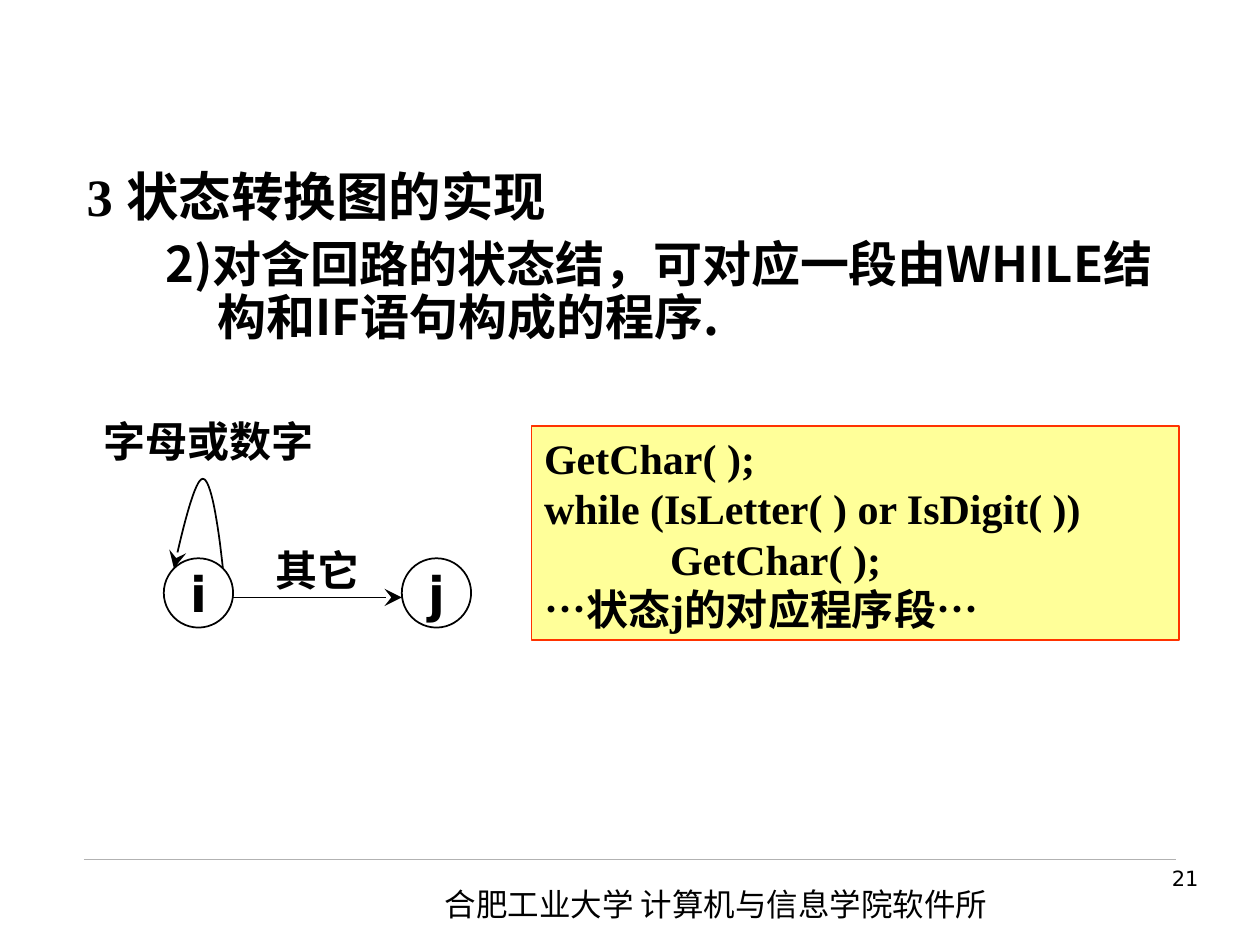
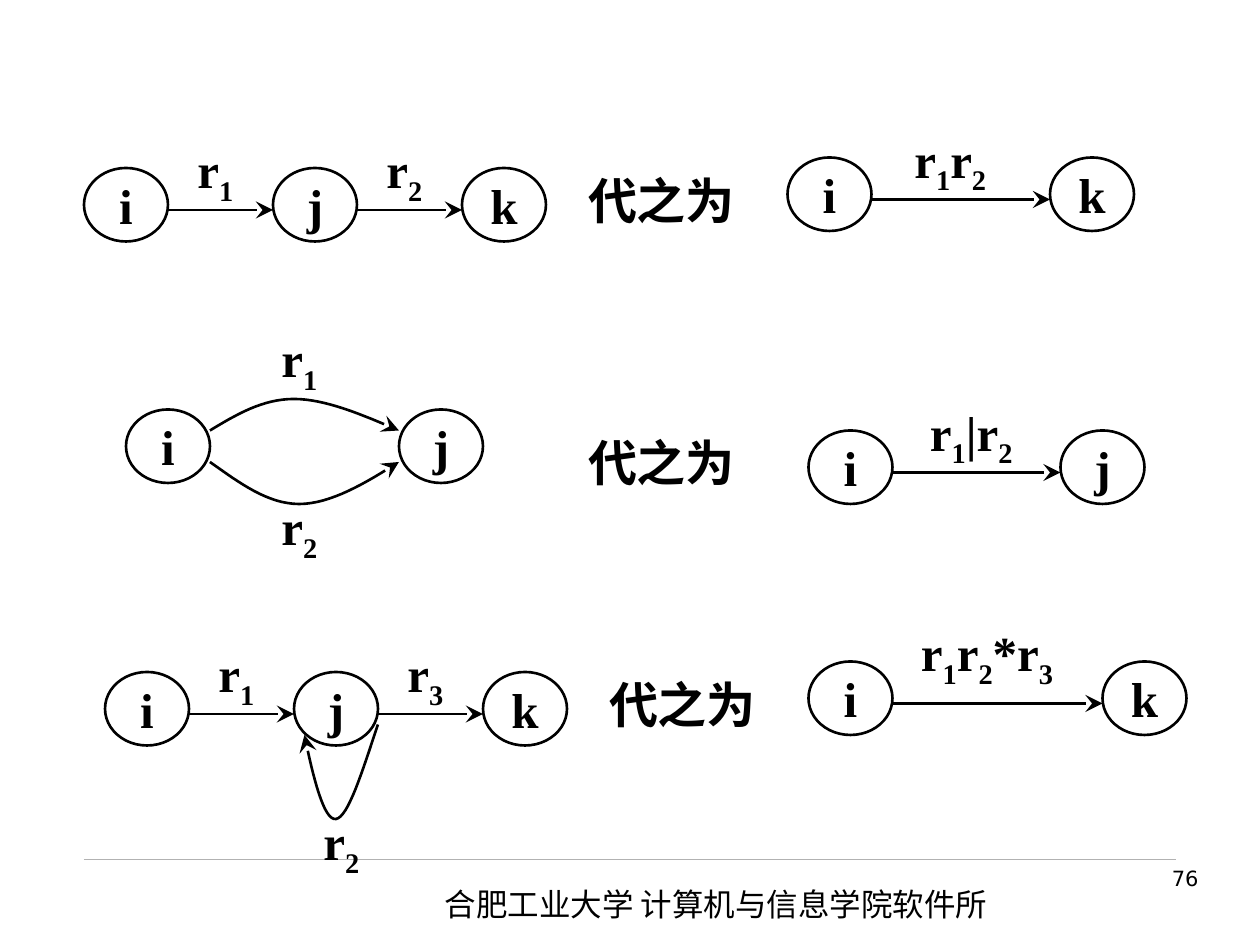
from itertools import groupby

from pptx import Presentation
from pptx import util as u
from pptx.dml.color import RGBColor
from pptx.enum import shapes, text
from pptx.oxml.ns import qn
from lxml import etree

COLORS = {"ink": "000000", "rule": "B2B2B2", "code": "FFFF99", "code_edge": "FF3300"}
SERIF, SANS, ARIAL, CJK = "Times New Roman", "DejaVu Sans", "Arial", "Noto Sans CJK SC"
FOOTER = "合肥工业大学 计算机与信息学院软件所"
LEFT, CENTER, RIGHT = text.PP_ALIGN.LEFT, text.PP_ALIGN.CENTER, text.PP_ALIGN.RIGHT
TOP, MIDDLE = text.MSO_ANCHOR.TOP, text.MSO_ANCHOR.MIDDLE
NODE_SIZE = (48, 42)
LABEL_SIZE = (84, 42)
ARROW_DROP = 24


def rgb(name):
    return RGBColor.from_string(COLORS[name])


def points(values):
    return [u.Pt(value) for value in values]


def format_span(span, size, font, bold):
    span.font.size, span.font.name, span.font.bold = u.Pt(size), font, bold
    span.font.color.rgb = rgb("ink")
    etree.SubElement(span.font._element, qn("a:ea"), typeface=CJK)


def write(shape, lines, size, font, bold=True, align=CENTER, anchor=TOP, wrap=True):
    """Fill a shape with text; unwrapped text gets the full width of its box."""
    frame = shape.text_frame
    frame.text = lines
    frame.word_wrap, frame.vertical_anchor = wrap, anchor
    if not wrap:
        frame.margin_left = frame.margin_right = 0
    for para in frame.paragraphs:
        para.alignment = align
        for span in para.runs:
            format_span(span, size, font, bold)
    return frame


def add_text(page, box, lines, size, font, **style):
    return write(page.shapes.add_textbox(*points(box)), lines, size, font, **style)


def add_label(page, left, top, expression):
    """Write a regular expression with its digits as subscripts."""
    frame = add_text(page, (left, top) + LABEL_SIZE, "", 28, SERIF,
                     anchor=MIDDLE, wrap=False)
    for is_index, letters in groupby(expression, str.isdigit):
        span = frame.paragraphs[0].add_run()
        span.text = "".join(letters)
        format_span(span, 28, SERIF, True)
        if is_index:
            span.font._element.set("baseline", "-25000")


def set_line(shape, color, width, arrow=False):
    shape.line.color.rgb, shape.line.width = rgb(color), u.Pt(width)
    if arrow:
        outline = shape._element.spPr.find(qn("a:ln"))
        etree.SubElement(outline, qn("a:tailEnd"), type="stealth", w="lg", len="lg")


def add_line(page, start, end, color="ink", width=1.5, arrow=True):
    line = page.shapes.add_connector(
        shapes.MSO_CONNECTOR.STRAIGHT, *points(start + end))
    set_line(line, color, width, arrow)
    etree.SubElement(line._element.spPr, qn("a:effectLst"))


def bezier(controls, steps=16):
    """Sample joined cubic curves, each starting where the last one ended."""
    for first in range(0, len(controls) - 1, 3):
        curve = controls[first:first + 4]
        for step in range(1, steps + 1):
            t = step / steps
            weights = ((1 - t) ** 3, 3 * t * (1 - t) ** 2, 3 * t * t * (1 - t), t ** 3)
            yield tuple(sum(w * point[axis] for w, point in zip(weights, curve))
                        for axis in (0, 1))


def add_curve(page, left, top, controls, width=1.5):
    controls = [(left + x, top + y) for x, y in controls]
    builder = page.shapes.build_freeform(*points(controls[0]))
    builder.add_line_segments([points(spot) for spot in bezier(controls)], close=False)
    curve = builder.convert_to_shape()
    curve.shadow.inherit = False
    curve.fill.background()
    set_line(curve, "ink", width, arrow=True)


def add_node(page, left, top, name, size=NODE_SIZE, font=SERIF, width=1.5):
    node = page.shapes.add_shape(
        shapes.MSO_SHAPE.OVAL, *points((left, top) + size))
    node.shadow.inherit = False
    node.fill.background()
    set_line(node, "ink", width)
    write(node, name, 28, font, anchor=MIDDLE, wrap=False)


def add_chain(page, left, top, names, labels, pitch, label_at=(33, -18)):
    """Draw evenly spaced states joined by labelled arrows."""
    for index, name in enumerate(names):
        add_node(page, left + index * pitch, top, name)
    for index, label in enumerate(labels):
        x, y = left + index * pitch, top + ARROW_DROP
        add_line(page, (x + NODE_SIZE[0], y), (x + pitch, y))
        add_label(page, x + label_at[0], top + label_at[1], label)


def add_page(deck, number):
    page = deck.slides.add_slide(deck.slide_layouts[6])
    add_line(page, (48, 491), (672, 491), "rule", 0.25, arrow=False)
    add_text(page, (247, 502, 340, 29), FOOTER, 18, CJK, bold=False, align=LEFT)
    add_text(page, (536, 491, 156, 37), str(number), 12, SANS, bold=False, align=RIGHT)
    return page


def add_heading(page, box):
    frame = add_text(
        page, box, "3 \n2)对含回路的状态结，可对应一段由WHILE结构和IF语句构成的程序.",
        28, CJK, align=LEFT)
    heading, detail = frame.paragraphs
    for para, margin, indent in ((heading, 37, -37), (detail, 75, -30)):
        para.line_spacing = 0.9
        para._p.get_or_add_pPr().set("marL", str(u.Pt(margin)))
        para._p.get_or_add_pPr().set("indent", str(u.Pt(indent)))
    detail.space_before = u.Pt(7)
    detail.level = 1
    number = heading.runs[0]
    number.font.size, number.font.name = u.Pt(30), SERIF
    title = heading.add_run()
    title.text = "状态转换图的实现"
    format_span(title, 30, CJK, True)


def add_loop_diagram(page, left, top):
    size, pitch = 39.6, 136
    for index, name in enumerate("ij"):
        add_node(page, left + index * pitch, top, name, (size, size), SANS, 1)
    add_curve(page, left, top, [
        (33.8, 5.7), (31, -20), (27, -45.4), (22.3, -45.4),
        (18, -45.4), (11.5, -20), (5.8, 5.7)], width=1)
    add_line(page, (left + size, top + 22.4), (left + pitch, top + 22.4), width=1)
    add_text(page, (left - 45.5, top - 85, 142, 36), "字母或数字", 24, ARIAL)
    add_text(page, (left + 57, top - 11.6, 62, 36), "其它", 24, ARIAL, wrap=False)


def add_code(page, box):
    panel = page.shapes.add_shape(shapes.MSO_SHAPE.RECTANGLE, *points(box))
    panel.shadow.inherit = False
    panel.fill.solid()
    panel.fill.fore_color.rgb = rgb("code")
    set_line(panel, "code_edge", 1)
    frame = write(panel, "GetChar( );\nwhile (IsLetter( ) or IsDigit( ))\n"
                  "GetChar( );\n…状态j的对应程序段…", 24, SERIF, align=LEFT, anchor=MIDDLE)
    frame.paragraphs[2]._p.get_or_add_pPr().set("marL", str(u.Pt(72)))


def add_parallel(page, left, top):
    """Draw two states joined by an upper and a lower curve."""
    for x, name in ((0, "i"), (156, "j")):
        add_node(page, left + x, top, name)
    add_curve(page, left, top, [(48, 12), (63, 3), (78, -6), (96, -6),
                                (114, -6), (135, 3), (156, 12)])
    add_curve(page, left, top, [(48, 30), (65, 42), (81, 54), (99, 54),
                                (117, 54), (137, 42), (156, 30)])
    for label, y in (("r1", -48), ("r2", 48)):
        add_label(page, left + 57, top + y, label)


def add_looped_chain(page, left, top):
    add_chain(page, left, top, "ijk", ["r1", "r3"], 108)
    add_curve(page, left, top, [(156, 30), (147, 57), (139, 83), (132, 84),
                                (125, 85), (119, 60), (114, 36)])
    add_label(page, left + 93, top + 78, "r2")


def build_implementation(deck):
    page = add_page(deck, 21)
    add_heading(page, (42.5, 94.3, 648, 119))
    add_loop_diagram(page, 93.6, 319)
    add_code(page, (303.8, 243.4, 370, 122.4))


def build_replacement_rules(deck):
    page = add_page(deck, 76)
    for left, top in ((328, 90), (328, 240), (340, 378)):
        add_text(page, (left, top, 100, 48), "代之为", 28, SERIF,
                 anchor=MIDDLE, wrap=False)
    add_chain(page, 48, 96, "ijk", ["r1", "r2"], 108)
    add_chain(page, 450, 90, "ik", ["r1r2"], 150, (51, -18))
    add_parallel(page, 72, 234)
    add_chain(page, 462, 246, "ij", ["r1|r2"], 144, (51, -18))
    add_looped_chain(page, 60, 384)
    add_chain(page, 462, 378, "ik", ["r1r2*r3"], 168, (60, -24))


def main():
    deck = Presentation()
    deck.slide_width, deck.slide_height = points((720, 540))
    build_implementation(deck)
    build_replacement_rules(deck)
    deck.save("out.pptx")


if __name__ == "__main__":
    main()
